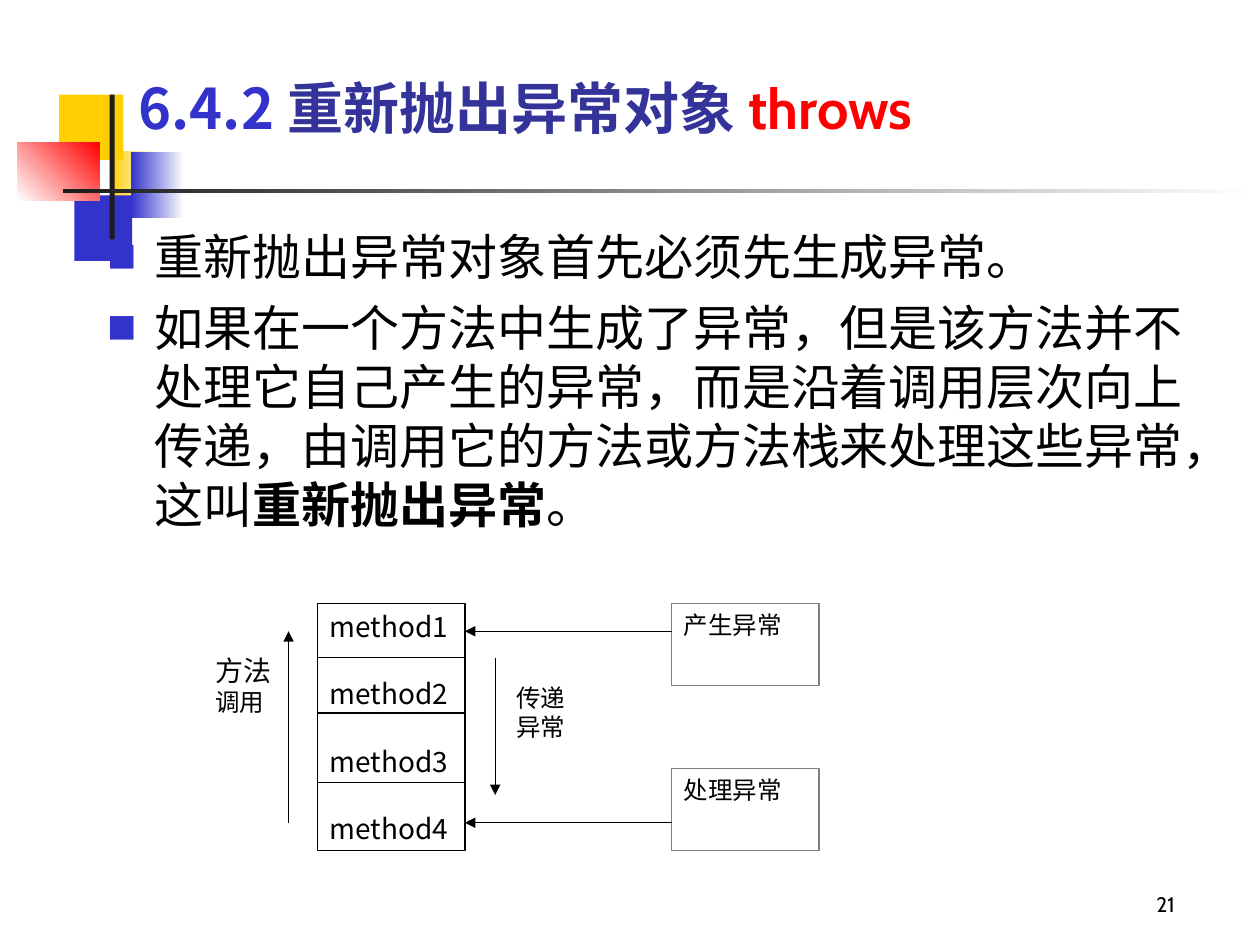
from lxml.etree import SubElement
from pptx import Presentation
from pptx.dml.color import RGBColor
from pptx.enum.shapes import MSO_CONNECTOR, MSO_SHAPE
from pptx.enum.text import MSO_ANCHOR, MSO_AUTO_SIZE, PP_ALIGN
from pptx.oxml.ns import qn
from pptx.util import Inches, Pt

CJK_FONT = "Noto Sans CJK SC"


def add_text(paragraph, text, size, font="Times New Roman", color="000000", bold=False):
    """Append a run, with the Chinese font for its East Asian characters."""
    run = paragraph.add_run()
    run.text = text
    run.font.size = Pt(size)
    run.font.name = font
    run.font.bold = bold
    run.font.color.rgb = RGBColor.from_string(color)
    SubElement(run._r.get_or_add_rPr(), qn("a:ea"), typeface=CJK_FONT)
    paragraph.alignment = PP_ALIGN.LEFT
    paragraph.line_spacing = Pt(size * 1.2)


def add_box(left, top, width, height, fill, line=None, angle=0):
    """Add a rectangle; a pair of fill colours makes a gradient."""
    shape = slide.shapes.add_shape(
        MSO_SHAPE.RECTANGLE, Inches(left), Inches(top), Inches(width), Inches(height))
    shape.shadow.inherit = False
    if isinstance(fill, tuple):
        shape.fill.gradient()
        shape.fill.gradient_angle = angle
        for stop, color in zip(shape.fill.gradient_stops, fill):
            stop.color.rgb = RGBColor.from_string(color)
    else:
        shape.fill.solid()
        shape.fill.fore_color.rgb = RGBColor.from_string(fill)
    if line:
        shape.line.color.rgb = RGBColor.from_string(line)
        shape.line.width = Pt(0.75)
    else:
        shape.line.fill.background()
    return shape


presentation = Presentation()
presentation.slide_width = Inches(10)
presentation.slide_height = Inches(7.5)
slide = presentation.slides.add_slide(presentation.slide_layouts[1])
title, body = slide.placeholders

# Corner ornament and rule under the title
add_box(0.88, 1.2, 0.36, 0.52, ("FFCF01", "FFFFFF"))
add_box(0.59, 1.55, 0.46, 0.52, "3333CC")
add_box(0.47, 0.75, 0.51, 0.52, "FFCF01")
add_box(1.04, 1.21, 0.42, 0.52, ("3333CC", "FFFFFF"))
add_box(0.14, 1.13, 0.65, 0.46, ("FFFFFF", "FF0000"), angle=45)
add_box(0.87, 0.75, 0.04, 1.15, "1C1C1C")
add_box(0.5, 1.5, 9.5, 0.03, ("1C1C1C", "FFFFFF"))

# Title and body, brought in front of the ornament
for placeholder, (left, top, width, height), anchor in (
    (title, (1, 0.17, 8.58, 1), MSO_ANCHOR.BOTTOM),
    (body, (0.75, 1.75, 8.92, 5.17), MSO_ANCHOR.TOP),
):
    placeholder.left, placeholder.top = Inches(left), Inches(top)
    placeholder.width, placeholder.height = Inches(width), Inches(height)
    placeholder.text_frame.auto_size = MSO_AUTO_SIZE.NONE
    placeholder.text_frame.vertical_anchor = anchor
    slide.shapes._spTree.append(placeholder._element)

heading = title.text_frame.paragraphs[0]
add_text(heading, "6.4.2 ", 32, font=CJK_FONT, color="3333CC", bold=True)
add_text(heading, "重新抛出异常对象 ", 32, font="Cabin", color="333399", bold=True)
add_text(heading, "throws", 32, font="Cabin", color="FF0000", bold=True)

first_point = body.text_frame.paragraphs[0]
second_point = body.text_frame.add_paragraph()
for paragraph, space_before in ((first_point, 0), (second_point, 7)):
    properties = paragraph._p.get_or_add_pPr()
    properties.set("marL", str(Inches(0.38)))
    properties.set("indent", str(-Inches(0.38)))
    bullet_color = SubElement(properties, qn("a:buClr"))
    SubElement(bullet_color, qn("a:srgbClr"), val="3333CC")
    SubElement(properties, qn("a:buSzPct"), val="60000")
    SubElement(properties, qn("a:buFont"), typeface=CJK_FONT)
    SubElement(properties, qn("a:buChar"), char="■")
    paragraph.space_before = Pt(space_before)

add_text(first_point, "重新抛出异常对象首先必须先生成异常。", 28, font="Cabin")
add_text(second_point, "如果在一个方法中生成了异常，但是该方法并不处理它自己产生的异常，"
         "而是沿着调用层次向上传递，由调用它的方法或方法栈来处理这些异常，这叫", 28)
add_text(second_point, "重新抛出异常", 28, bold=True)
add_text(second_point, "。", 28)

# Call stack diagram: boxes with their lines of text and sizes
stack_left, stack_right, side_left = 2.52, 3.69, 5.33
methods = [(f"method{number}", 16) for number in range(1, 5)]
diagram_boxes = (
    ((1.61, 5.14, 0.94, 1.09), "FFFFFF", [("方法", 16), ("调用", 14)], "Times New Roman", 0),
    ((stack_left, 4.79, 1.17, 1.96), "000000", methods, CJK_FONT, 19.2),
    ((side_left, 4.79, 1.17, 0.65), "808080", [("产生异常", 14)], "Times New Roman", 0),
    ((side_left, 6.1, 1.17, 0.65), "808080", [("处理异常", 14)], "Times New Roman", 0),
    ((4, 5.37, 0.67, 0.92), None, [("传递", 14), ("异常", 14)], "Times New Roman", 0),
)
for bounds, outline, lines, font, gap in diagram_boxes:
    text_frame = add_box(*bounds, "FFFFFF", line=outline).text_frame
    text_frame.word_wrap = True
    text_frame.vertical_anchor = MSO_ANCHOR.TOP
    for index, (text, size) in enumerate(lines):
        paragraph = text_frame.add_paragraph() if index else text_frame.paragraphs[0]
        paragraph.space_before = Pt(gap if index else 0)
        add_text(paragraph, text, size, font=font)

# Arrows, then the dividers of the stack
arrows = [
    (side_left, 5.01, stack_right, 5.01),
    (3.93, 5.22, 3.93, 6.31),
    (2.29, 6.53, 2.29, 5.01),
    (side_left, 6.53, stack_right, 6.53),
]
dividers = [(stack_left, y, stack_right, y) for y in (5.22, 5.66, 6.21)]
for ends in arrows + dividers:
    connector = slide.shapes.add_connector(
        MSO_CONNECTOR.STRAIGHT, *(Inches(value) for value in ends))
    connector.line.color.rgb = RGBColor.from_string("000000")
    connector.line.width = Pt(0.75)
    if ends in arrows:
        SubElement(connector.line._get_or_add_ln(), qn("a:tailEnd"), type="triangle")
    SubElement(connector._element.spPr, qn("a:effectLst"))

page_number = slide.shapes.add_textbox(Inches(9.08), Inches(7.03), Inches(0.83), Inches(0.33))
page_number.text_frame.word_wrap = True
add_text(page_number.text_frame.paragraphs[0], "21", 12, font="Cabin")

presentation.save("out.pptx")
